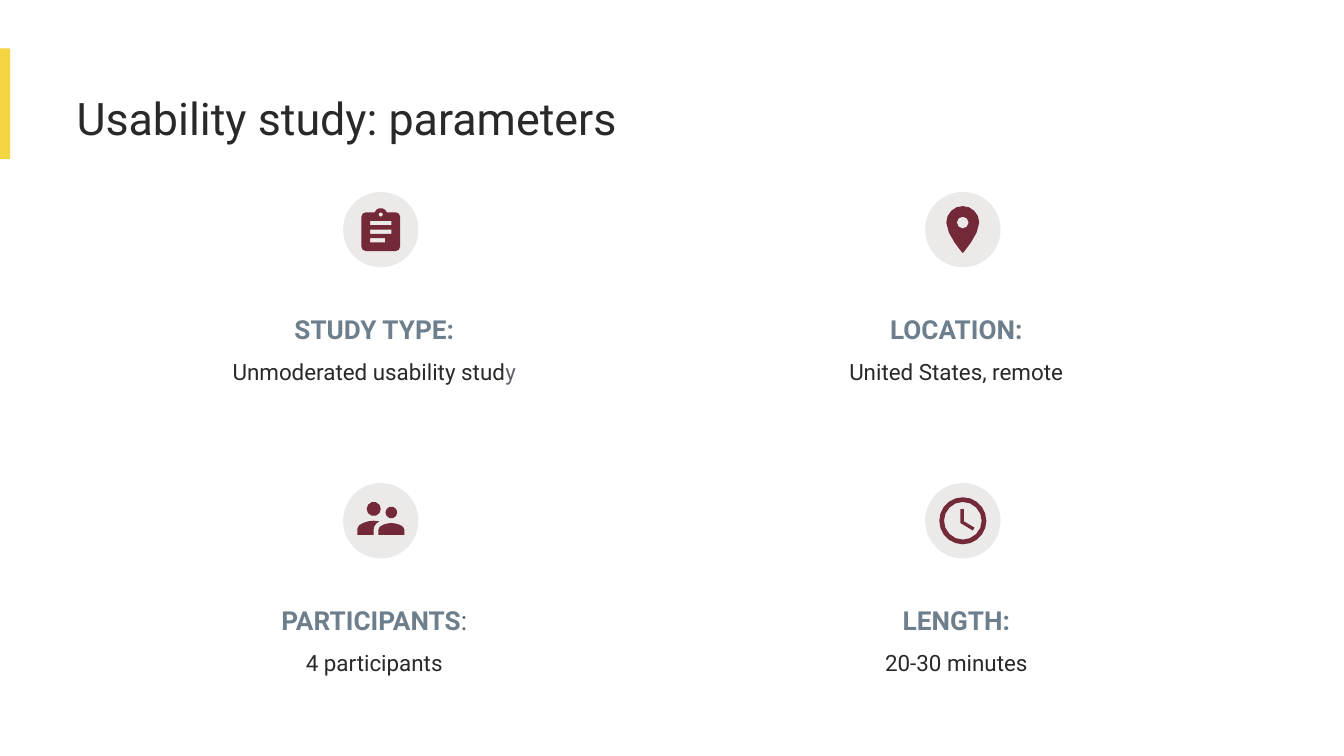
import math

import pptx
import pptx.util
import pptx.dml.color
import pptx.enum.shapes
import pptx.enum.text

Pt = pptx.util.Pt
COLORS = {
    "accent": "F2D541",
    "ink": "292929",
    "heading": "6D7E8C",
    "grey": "5F6368",
    "disc": "ECE9E9",
    "icon": "732937",
}


def arc(cx, cy, radius, steps, start=0, end=360):
    """Points along a circular arc, in degrees; a full circle omits its repeated end."""
    count = steps if end - start == 360 else steps + 1
    angles = [math.radians(start + (end - start) * i / steps) for i in range(count)]
    return [(cx + radius * math.cos(a), cy + radius * math.sin(a)) for a in angles]


def bezier(a, b, c, d):
    """Points along a cubic curve from a to d."""
    steps = [i / 4 for i in range(5)]
    return [
        tuple((1 - t) ** 3 * p + 3 * (1 - t) ** 2 * t * q + 3 * (1 - t) * t * t * r + t ** 3 * s
              for p, q, r, s in zip(a, b, c, d))
        for t in steps
    ]


# Icon outlines lie on a 24-unit grid; inner outlines become holes.
clipboard = [
    arc(12, 4, 3, 5, 340, 200) + arc(5, 5, 2, 2, 270, 180) + arc(5, 19, 2, 2, 180, 90)
    + arc(19, 19, 2, 2, 90, 0) + arc(19, 5, 2, 2, 0, -90),
    arc(12, 4, 1, 8),
] + [
    [(7, top), (right, top), (right, top + 2), (7, top + 2)]
    for top, right in ((7, 17), (11, 17), (15, 14))
]
pin = [
    arc(12, 9, 7, 8, 180, 360)
    + bezier((19, 9), (19, 14.25), (12, 22), (12, 22))[1:]
    + bezier((12, 22), (12, 22), (5, 14.25), (5, 9))[1:-1],
    arc(12, 9, 2.5, 8),
]
people = [
    arc(16.5, 9.5, 2.5, 10),
    arc(9, 8, 3, 10),
    bezier((16.5, 14), (14.67, 14), (11, 14.92), (11, 16.75)) + [(11, 19), (22, 19)]
    + bezier((22, 16.75), (22, 14.92), (18.33, 14), (16.5, 14))[:-1],
    bezier((9, 13), (6.67, 13), (2, 14.17), (2, 16.5)) + [(2, 19), (9, 19)]
    + bezier((9, 16.75), (9, 15.9), (9.33, 14.41), (11.37, 13.28)),
]
clock = [
    arc(12, 12, 10, 20),
    arc(12, 12, 8, 16),
    [(11, 7), (11, 13), (16.25, 16.15), (17, 14.92), (12.5, 12.25), (12.5, 7)],
]

# Text runs: wording, size, colour, bold.
# Icon: outlines, points per grid unit, grid height that sits at the disc's centre.
parameters = [
    ([[("STUDY TYPE:", 14, "heading", True)],
      [("Unmoderated usability stud", 12, "ink", False), ("y", 12, "grey", False)]],
     (clipboard, 1.15, 11)),
    ([[("LOCATION:", 14, "heading", True)],
      [("United States, remote", 12, "ink", False)]],
     (pin, 1.26, 12)),
    ([[("PARTICIPANTS", 14, "heading", True), (":", 14, "grey", False)],
      [("4 participants", 12, "ink", False)]],
     (people, 1.26, 13)),
    ([[("LENGTH:", 14, "heading", True)],
      [("20-30 minutes", 12, "ink", False)]],
     (clock, 1.26, 12)),
]

deck = pptx.Presentation()
deck.slide_width, deck.slide_height = Pt(720), Pt(405)
slide = deck.slides.add_slide(deck.slide_layouts[5])
shapes = slide.shapes
filled = []

accent_bar = shapes.add_shape(
    pptx.enum.shapes.MSO_SHAPE.RECTANGLE, 0, Pt(25.9), Pt(5.5), Pt(59.4))
filled.append((accent_bar, "accent"))

FRAME = {
    "margin_left": 0,
    "margin_right": Pt(7.2),
    "margin_top": Pt(7.2),
    "margin_bottom": Pt(7.2),
    "word_wrap": True,
    "vertical_anchor": pptx.enum.text.MSO_ANCHOR.TOP,
    "auto_size": pptx.enum.text.MSO_AUTO_SIZE.NONE,
}
title = shapes.title
title.left, title.top, title.width, title.height = Pt(41), Pt(41.4), Pt(484.6), Pt(43.9)
title.text_frame.text = "Usability study: parameters"
for name, value in FRAME.items():
    setattr(title.text_frame, name, value)
heading = title.text_frame.paragraphs[0]
heading.alignment = pptx.enum.text.PP_ALIGN.LEFT
heading.font.name, heading.font.size = "Roboto", Pt(24)
heading.font.color.rgb = pptx.dml.color.RGBColor.from_string(COLORS["ink"])

COLUMN_PITCH, ROW_PITCH, DISC = 311.8, 156, 40.4
for index, (lines, (outlines, unit, middle)) in enumerate(parameters):
    row, column = divmod(index, 2)
    dx, dy = column * COLUMN_PITCH, row * ROW_PITCH

    label = shapes.add_textbox(Pt(68.4 + dx), Pt(152.2 + dy), Pt(271.4), Pt(54.7)).text_frame
    for name, value in FRAME.items():
        setattr(label, name, value)
    for number, runs in enumerate(lines):
        paragraph = label.add_paragraph() if number else label.paragraphs[0]
        paragraph.alignment = pptx.enum.text.PP_ALIGN.CENTER
        paragraph.line_spacing = 1.5
        for wording, size, color, bold in runs:
            run = paragraph.add_run()
            run.text = wording
            run.font.name, run.font.size, run.font.bold = "Roboto", Pt(size), bold
            run.font.color.rgb = pptx.dml.color.RGBColor.from_string(COLORS[color])

    center_x, center_y = 204 + dx, 123 + dy
    disc = shapes.add_shape(
        pptx.enum.shapes.MSO_SHAPE.OVAL,
        Pt(center_x - DISC / 2), Pt(center_y - DISC / 2), Pt(DISC), Pt(DISC))
    filled.append((disc, "disc"))

    builder = None
    for outline in outlines:
        points = [(Pt(center_x + (x - 12) * unit), Pt(center_y + (y - middle) * unit))
                  for x, y in outline]
        if builder is None:
            builder = shapes.build_freeform(*points[0])
        else:
            builder.move_to(*points[0])
        builder.add_line_segments(points[1:], close=True)
    filled.append((builder.convert_to_shape(), "icon"))

for shape, color in filled:
    shape.shadow.inherit = False
    shape.fill.solid()
    shape.fill.fore_color.rgb = pptx.dml.color.RGBColor.from_string(COLORS[color])
    shape.line.fill.background()

deck.save("out.pptx")
